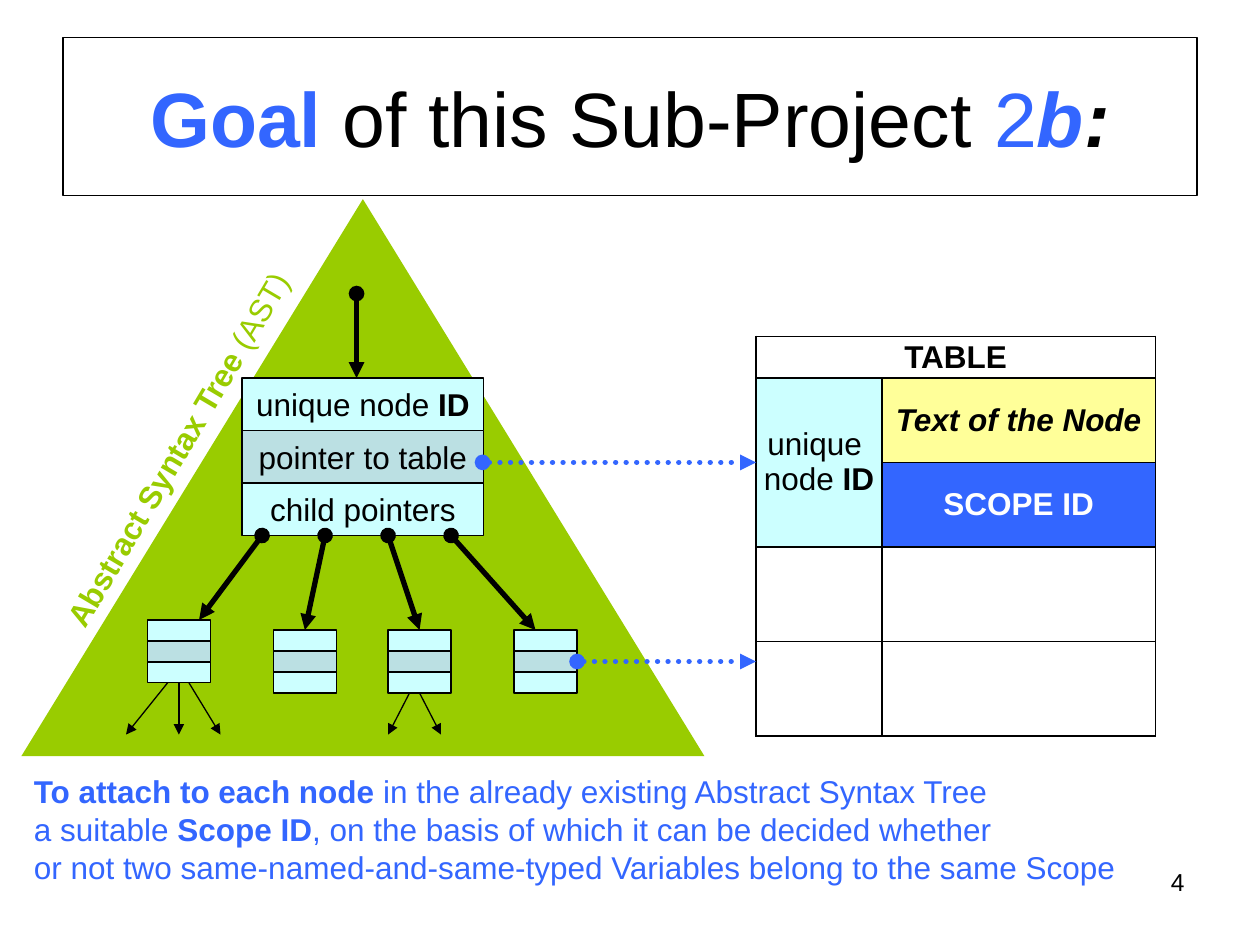
"""Builds a slide on attaching scope IDs to the nodes of a syntax tree."""
from lxml import etree
from pptx import Presentation
from pptx import util as u
from pptx.dml.color import RGBColor
from pptx.enum import dml, shapes, text
from pptx.oxml import ns

COLORS = {"black": "000000", "white": "FFFFFF", "blue": "3366FF", "green": "99CC00",
          "cyan": "CCFFFF", "teal": "BBE0E3", "yellow": "FFFF99"}
THIN = 0.75


def rgb(name):
    """Return the named colour."""
    return RGBColor.from_string(COLORS[name])


def write(tf, paragraphs, size=18, color="black", bold=False, italic=False,
          align=text.PP_ALIGN.CENTER, font="Arial"):
    """Fill a text frame with paragraphs of (text, overrides) runs."""
    for i, runs in enumerate(paragraphs):
        p = tf.paragraphs[0] if i == 0 else tf.add_paragraph()
        p.alignment = align
        for content, own in runs:
            r = p.add_run()
            r.text = content
            r.font.name, r.font.size = font, u.Pt(size)
            r.font.bold = own.get("bold", bold)
            r.font.italic = own.get("italic", italic)
            r.font.color.rgb = rgb(own.get("color", color))


class Deck:
    """Holds the style and the current slide."""

    def __init__(self, s):
        """Start on the given slide."""
        self.s = s

    def title(self, box, runs):
        """Place and outline the title placeholder."""
        sp = self.s.shapes.title
        sp.left, sp.top, sp.width, sp.height = map(u.Inches, box)
        sp.line.color.rgb, sp.line.width = rgb("black"), u.Pt(THIN)
        tf = sp.text_frame
        tf.auto_size = text.MSO_AUTO_SIZE.NONE
        tf.vertical_anchor = text.MSO_ANCHOR.MIDDLE
        write(tf, [runs], size=44)

    def shape(self, box, fill, kind=shapes.MSO_SHAPE.RECTANGLE, line=True, runs=None):
        """Add a filled preset shape with optional text."""
        sp = self.s.shapes.add_shape(kind, *map(u.Inches, box))
        sp.shadow.inherit = False
        sp.fill.solid()
        sp.fill.fore_color.rgb = rgb(fill)
        if line:
            sp.line.color.rgb, sp.line.width = rgb("black"), u.Pt(THIN)
        else:
            sp.line.fill.background()
        if runs:
            tf = sp.text_frame
            tf.word_wrap = False
            tf.vertical_anchor = text.MSO_ANCHOR.MIDDLE
            write(tf, [runs])

    def node(self, x, y, w, h, labels=(None, None, None)):
        """Stack the three fields of a tree node."""
        for i, (fill, runs) in enumerate(zip(("cyan", "teal", "cyan"), labels)):
            self.shape((x, y + i * h, w, h), fill, runs=runs)

    def arrow(self, start, end, color="black", width=3.0, dot=True, dotted=False):
        """Draw an arrow, with a dot at its start if asked."""
        c = self.s.shapes.add_connector(shapes.MSO_CONNECTOR.STRAIGHT,
                                        *map(u.Inches, start + end))
        c.line.color.rgb, c.line.width = rgb(color), u.Pt(width)
        if dotted:
            c.line.dash_style = dml.MSO_LINE.ROUND_DOT
        ln = c.line._get_or_add_ln()
        if dotted:
            ln.set("cap", "rnd")
        if dot:
            etree.SubElement(ln, ns.qn("a:headEnd"), type="oval")
        etree.SubElement(ln, ns.qn("a:tailEnd"), type="triangle")
        etree.SubElement(c._element.spPr, ns.qn("a:effectLst"))

    def label(self, box, paragraphs, rotation=0, wrap=False, **fmt):
        """Add a text box."""
        sp = self.s.shapes.add_textbox(*map(u.Inches, box))
        sp.rotation = rotation
        tf = sp.text_frame
        tf.word_wrap = wrap
        if not wrap:
            tf.auto_size = text.MSO_AUTO_SIZE.SHAPE_TO_FIT_TEXT
        write(tf, paragraphs, **fmt)

    def table(self, x, y, widths, heights, merges, cells):
        """Add a bordered table; cells maps (row, column) to fill and paragraphs."""
        frame = self.s.shapes.add_table(len(heights), len(widths), *map(
            u.Inches, (x, y, sum(widths), sum(heights))))
        t = frame.table
        t.first_row = t.horz_banding = False
        for col, w in zip(t.columns, widths):
            col.width = u.Inches(w)
        for row, h in zip(t.rows, heights):
            row.height = u.Inches(h)
        for first, last in merges:
            t.cell(*first).merge(t.cell(*last))
        for r in range(len(heights)):
            for c in range(len(widths)):
                fill, paragraphs = cells.get((r, c), ("white", []))
                self.cell(t.cell(r, c), fill, paragraphs)

    def cell(self, cell, fill, paragraphs):
        """Format one table cell."""
        cell.margin_left = cell.margin_right = u.Inches(0.02)
        cell.margin_top = cell.margin_bottom = 0
        cell.vertical_anchor = text.MSO_ANCHOR.MIDDLE
        write(cell.text_frame, paragraphs)
        pr = cell._tc.get_or_add_tcPr()
        for side in ("a:lnL", "a:lnR", "a:lnT", "a:lnB"):
            ln = etree.SubElement(pr, ns.qn(side), w=str(u.Pt(1)))
            solid = etree.SubElement(ln, ns.qn("a:solidFill"))
            etree.SubElement(solid, ns.qn("a:srgbClr"), val=COLORS["black"])
        cell.fill.solid()
        cell.fill.fore_color.rgb = rgb(fill)


def build():
    """Compose the slide and save it."""
    prs = Presentation()
    prs.slide_width, prs.slide_height = u.Inches(10), u.Inches(7.5)
    d = Deck(prs.slides.add_slide(prs.slide_layouts[5]))
    bold, plain = {"bold": True}, {}
    left = text.PP_ALIGN.LEFT

    d.title((0.5, 0.3, 9, 1.25), [
        ("Goal", {"bold": True, "color": "blue"}), (" of this Sub-Project ", plain),
        ("2", {"color": "blue"}), ("b", {"bold": True, "italic": True, "color": "blue"}),
        (":", {"bold": True, "italic": True})])

    d.shape((0.17, 1.58, 5.42, 4.42), "green",
            kind=shapes.MSO_SHAPE.ISOSCELES_TRIANGLE, line=False)
    d.node(1.92, 3, 1.92, 1.25 / 3, [
        [("unique node ", plain), ("ID", bold)],
        [("pointer to table", plain)], [("child pointers", plain)]])
    for x, y in ((1.17, 4.92), (2.17, 5), (3.08, 5), (4.08, 5)):
        d.node(x, y, 0.5, 0.5 / 3)

    d.arrow((2.83, 2.33), (2.83, 3))
    for i, end in enumerate(((1.58, 4.92), (2.42, 5), (3.33, 5), (4.25, 5))):
        d.arrow((2.08 + i * 0.5, 4.25), end)
    for x, y, x_end in ((1.33, 5.42, 1), (1.42, 5.42, 1.42), (1.5, 5.42, 1.75),
                        (3.25, 5.5, 3.08), (3.33, 5.5, 3.5)):
        d.arrow((x, y), (x_end, 5.83), width=THIN, dot=False)

    d.table(6, 2.67, (1, 2.17), (0.33, 0.67, 0.67, 0.75, 0.75),
            [((0, 0), (0, 1)), ((1, 0), (2, 0))], {
        (0, 0): ("white", [[("TABLE", bold)]]),
        (1, 0): ("cyan", [[("unique ", plain)], [("node ", plain), ("ID", bold)]]),
        (1, 1): ("yellow", [[("Text of the Node", {"bold": True, "italic": True})]]),
        (2, 1): ("blue", [[("SCOPE ID", {"bold": True, "color": "white"})]])})
    for x, y in ((3.83, 3.67), (4.58, 5.25)):
        d.arrow((x, y), (6, y), color="blue", dotted=True)

    d.label((0.17, 6.08, 8.8, 1), [
        [("To attach to each node", bold),
         (" in the already existing Abstract Syntax Tree", plain)],
        [("a suitable ", plain), ("Scope ID", bold),
         (", on the basis of which it can be decided whether", plain)],
        [("or not two same-named-and-same-typed Variables belong to the same Scope",
          plain)]], color="blue", align=left)
    d.label((-0.3, 3.36, 3.42, 0.4),
            [[("Abstract Syntax Tree", bold), (" (AST)", plain)]],
            rotation=300.6, color="green", align=left)
    d.label((7.17, 6.83, 2.33, 0.52), [[("4", plain)]], wrap=True, size=14,
            align=text.PP_ALIGN.RIGHT)
    prs.save("out.pptx")


build()
